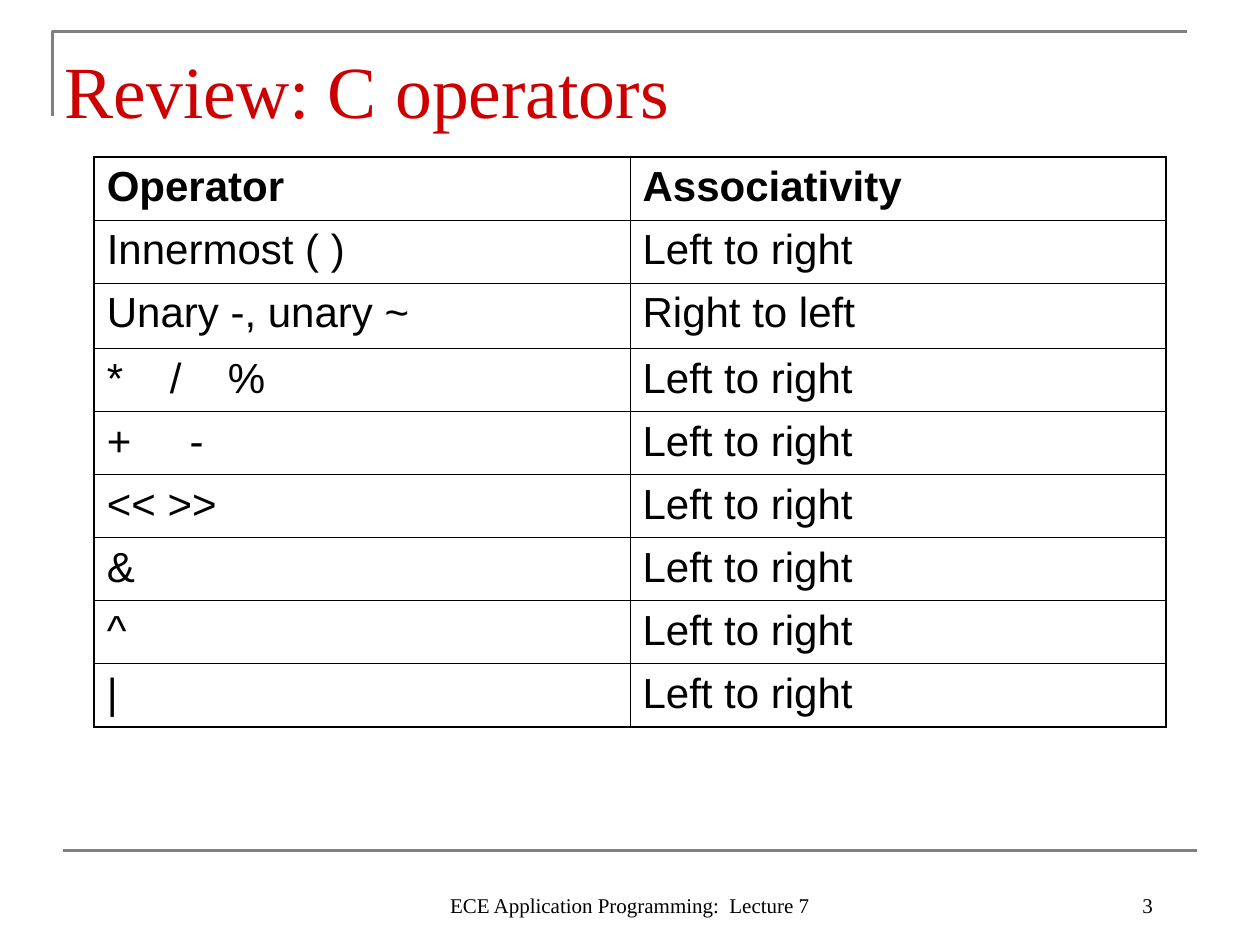
from dataclasses import dataclass

from lxml import etree
from pptx import Presentation
from pptx.dml.color import RGBColor
from pptx.enum.shapes import MSO_CONNECTOR
from pptx.enum.text import MSO_ANCHOR, PP_ALIGN
from pptx.oxml.ns import qn
from pptx.util import Cm, Pt

STRAIGHT = MSO_CONNECTOR.STRAIGHT
MIDDLE, BOTTOM = MSO_ANCHOR.MIDDLE, MSO_ANCHOR.BOTTOM
LEFT, CENTER, RIGHT = PP_ALIGN.LEFT, PP_ALIGN.CENTER, PP_ALIGN.RIGHT

RED = RGBColor(0xCC, 0x00, 0x00)
GREY = RGBColor(0x80, 0x80, 0x80)
BLACK = RGBColor(0x00, 0x00, 0x00)
SERIF, SANS = "Times New Roman", "Arial"

OUTER, INNER = Pt(1.08), Pt(0.45)
ROW_HEIGHT, TALL_ROW_HEIGHT = Cm(1.27), Cm(1.32)
COLUMN_WIDTH = Cm(10.8)


@dataclass
class Label:
    text: str
    left: float
    top: float
    width: float
    height: float
    size: int
    color: RGBColor
    align: PP_ALIGN
    anchor: MSO_ANCHOR


@dataclass
class OperatorRow:
    operator: str
    associativity: str = "Left to right"
    tab_stops: tuple[float, ...] = ()
    height: int = ROW_HEIGHT
    bold: bool = False


LABELS = [
    Label("Review: C operators", 1.06, 0.64, 21.59, 2.33, 42, RED, LEFT, MIDDLE),
    Label("3", 18.2, 17.36, 5.29, 1.27, 12, BLACK, RIGHT, BOTTOM),
    Label("ECE Application Programming:  Lecture 7",
          8.68, 17.36, 8.04, 1.27, 12, BLACK, CENTER, BOTTOM),
]

ROWS = [
    OperatorRow("Operator", "Associativity", bold=True),
    OperatorRow("Innermost ( )"),
    OperatorRow("Unary -, unary ~", "Right to left", height=TALL_ROW_HEIGHT),
    OperatorRow("*\t/\t%", tab_stops=(1.27, 2.44)),
    OperatorRow("+\t-", tab_stops=(1.67,)),
    OperatorRow("<< >>"),
    OperatorRow("&"),
    OperatorRow("^"),
    OperatorRow("|"),
]


def style_runs(paragraph, font_name: str, size: int, color: RGBColor,
               bold: bool = False) -> None:
    for run in paragraph.runs:
        run.font.name = font_name
        run.font.size = Pt(size)
        run.font.bold = bold
        run.font.color.rgb = color


def add_label(slide, label: Label) -> None:
    box = slide.shapes.add_textbox(Cm(label.left), Cm(label.top),
                                   Cm(label.width), Cm(label.height))
    frame = box.text_frame
    frame.word_wrap = True
    frame.vertical_anchor = label.anchor
    frame.text = label.text
    paragraph = frame.paragraphs[0]
    paragraph.alignment = label.align
    style_runs(paragraph, SERIF, label.size, label.color)


def add_rules(slide) -> None:
    # Corner rule around the title
    builder = slide.shapes.build_freeform(Cm(1.06), Cm(2.33))
    builder.add_line_segments([(Cm(1.06), Cm(0.64)), (Cm(23.92), Cm(0.64))],
                              close=False)
    corner = builder.convert_to_shape()
    corner.shadow.inherit = False
    corner.fill.background()

    # Rule above the footer
    footer_rule = slide.shapes.add_connector(STRAIGHT, Cm(1.27), Cm(17.15),
                                             Cm(24.13), Cm(17.15))
    etree.SubElement(footer_rule.line._get_or_add_ln().getparent(),
                     qn("a:effectLst"))
    for rule in (corner, footer_rule):
        rule.line.color.rgb = GREY
        rule.line.width = Pt(1.5)


def set_borders(cell, widths: dict[str, int]) -> None:
    properties = cell._tc.get_or_add_tcPr()
    for position, (tag, width) in enumerate(widths.items()):
        line = etree.Element(qn(tag), w=str(int(width)))
        solid = etree.SubElement(line, qn("a:solidFill"))
        etree.SubElement(solid, qn("a:srgbClr"), val=str(BLACK))
        properties.insert(position, line)


def set_tab_stops(paragraph, stops: tuple[float, ...]) -> None:
    tab_list = etree.SubElement(paragraph._p.get_or_add_pPr(), qn("a:tabLst"))
    for stop in stops:
        etree.SubElement(tab_list, qn("a:tab"), pos=str(int(Cm(stop))), algn="l")


def add_operator_table(slide, rows: list[OperatorRow]) -> None:
    table = slide.shapes.add_table(
        len(rows), 2, Cm(1.9), Cm(3.17), 2 * COLUMN_WIDTH,
        sum(row.height for row in rows)).table
    table.first_row = table.horz_banding = False
    for column in table.columns:
        column.width = COLUMN_WIDTH
    last = len(rows) - 1
    for r, row in enumerate(rows):
        table.rows[r].height = row.height
        for c, text in enumerate((row.operator, row.associativity)):
            cell = table.cell(r, c)
            cell.fill.background()
            cell.text_frame.text = text
            paragraph = cell.text_frame.paragraphs[0]
            if "\t" in text:
                set_tab_stops(paragraph, row.tab_stops)
            style_runs(paragraph, SANS, 24, BLACK, row.bold)
            set_borders(cell, {
                "a:lnL": OUTER if c == 0 else INNER,
                "a:lnR": OUTER if c == 1 else INNER,
                "a:lnT": OUTER if r == 0 else INNER,
                "a:lnB": OUTER if r == last else INNER,
            })


def main() -> None:
    presentation = Presentation()
    presentation.slide_width, presentation.slide_height = Cm(25.4), Cm(19.05)
    slide = presentation.slides.add_slide(presentation.slide_layouts[6])
    add_rules(slide)
    add_operator_table(slide, ROWS)
    for label in LABELS:
        add_label(slide, label)
    presentation.save("out.pptx")


if __name__ == "__main__":
    main()
